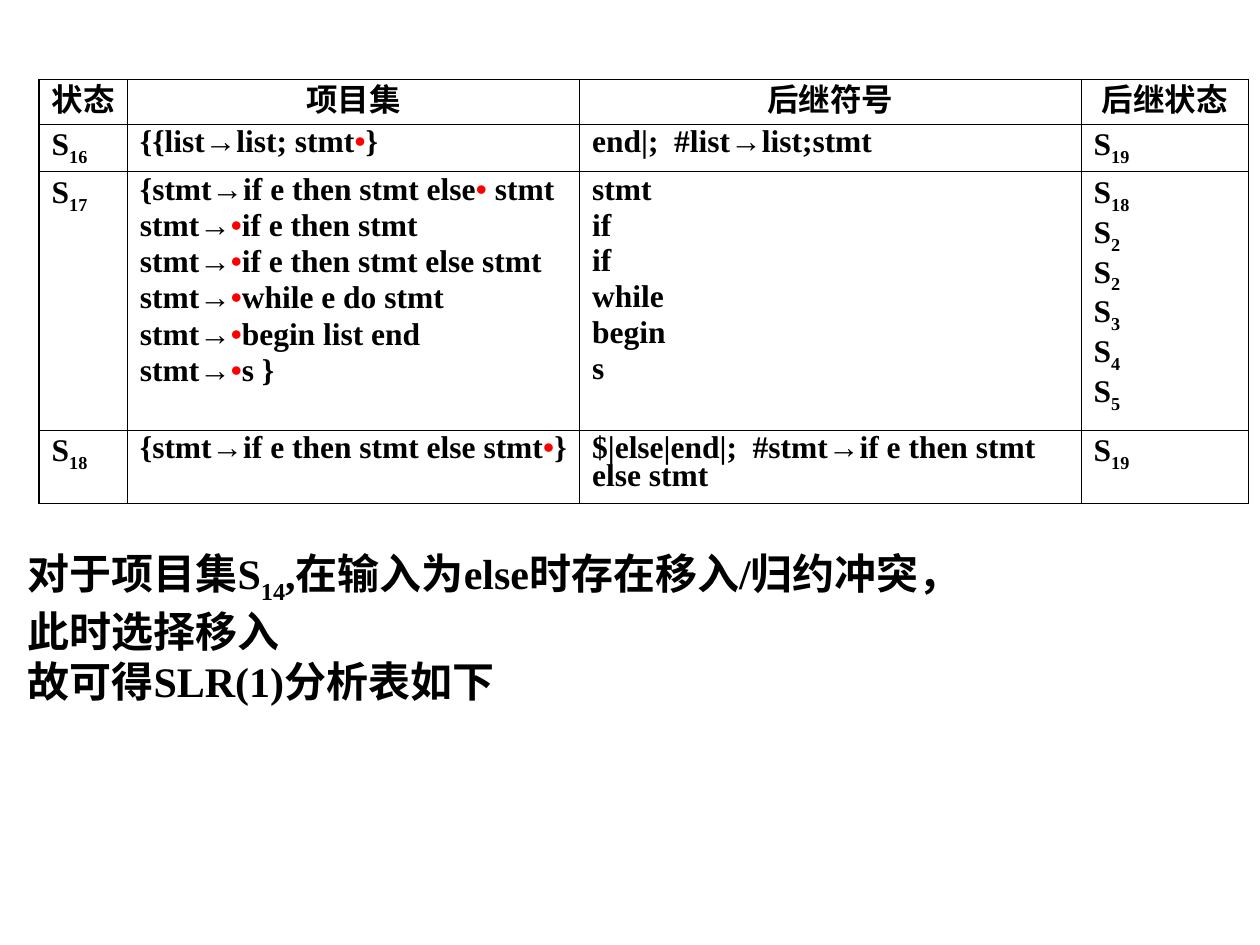
import itertools

import lxml.etree
import pptx
import pptx.dml.color
import pptx.enum.text
import pptx.oxml.ns
import pptx.util

Pt, Inches = pptx.util.Pt, pptx.util.Inches
BLACK = pptx.dml.color.RGBColor(0, 0, 0)
RED = pptx.dml.color.RGBColor(255, 0, 0)
SERIF, SANS, HAN = "Times New Roman", "Arial", "Noto Sans CJK SC"
SUBS = "₀₁₂₃₄₅₆₇₈₉"
DIGITS = str.maketrans(SUBS, "0123456789")
THIN, THICK = Pt(0.45), Pt(1.08)

COLS = [0.7, 3.59, 3.98, 1.33]
ROWS = [0.31, 0.38, 2.05, 0.58]
# Subscript digits become lowered runs, arrows and dots get their own style.
STATES = [
    [["状态"], ["项目集"], ["后继符号"], ["后继状态"]],
    [["S₁₆"], ["{{list→list; stmt•}"], ["end|;  #list→list;stmt"], ["S₁₉"]],
    [
        ["S₁₇"],
        [
            "{stmt→if e then stmt else• stmt",
            "stmt→•if e then stmt",
            "stmt→•if e then stmt else stmt",
            "stmt→•while e do stmt",
            "stmt→•begin list end",
            "stmt→•s }",
        ],
        ["stmt", "if", "if", "while", "begin", "s"],
        ["S₁₈", "S₂", "S₂", "S₃", "S₄", "S₅"],
    ],
    [
        ["S₁₈"],
        ["{stmt→if e then stmt else stmt•}"],
        ["$|else|end|;  #stmt→if e then stmt else stmt"],
        ["S₁₉"],
    ],
]
NOTES = [
    "对于项目集S₁₄,在输入为else时存在移入/归约冲突，",
    "此时选择移入",
    "故可得SLR(1)分析表如下",
]


def kind(char):
    return "sub" if char in SUBS else char if char in "→•" else "text"


def write(frame, lines, size, face=SERIF):
    """Fill the frame with one paragraph per line, styling runs by kind."""
    for n, line in enumerate(lines):
        para = frame.add_paragraph() if n else frame.paragraphs[0]
        for sort, chars in itertools.groupby(line, kind):
            run = para.add_run()
            run.text = "".join(chars).translate(DIGITS)
            font = run.font
            font.size, font.bold = Pt(size), True
            font.name = SANS if sort == "→" else face
            font.color.rgb = RED if sort == "•" else BLACK
            props = run._r.get_or_add_rPr()
            east = lxml.etree.SubElement(props, pptx.oxml.ns.qn("a:ea"))
            east.set("typeface", SANS if sort == "→" else HAN)
            if sort == "sub":
                props.set("baseline", "-25000")


def border(cell, widths):
    """Draw the left, right, top and bottom lines of a cell."""
    props = cell._tc.get_or_add_tcPr()
    for n, (side, width) in enumerate(zip("LRTB", widths)):
        line = lxml.etree.Element(pptx.oxml.ns.qn("a:ln" + side), w=str(int(width)))
        fill = lxml.etree.SubElement(line, pptx.oxml.ns.qn("a:solidFill"))
        lxml.etree.SubElement(fill, pptx.oxml.ns.qn("a:srgbClr"), val=str(BLACK))
        props.insert(n, line)


def add_states(slide, left, top, width, height):
    shape = slide.shapes.add_table(len(ROWS), len(COLS), left, top, width, height)
    table = shape.table
    table.first_row = table.horz_banding = False
    for col, share in zip(table.columns, COLS):
        col.width = int(width * share / sum(COLS))
    for row, share in zip(table.rows, ROWS):
        row.height = int(height * share / sum(ROWS))
    last = len(COLS) - 1
    for r, c in itertools.product(range(len(ROWS)), range(len(COLS))):
        cell, head = table.cell(r, c), r == 0
        cell.fill.background()
        write(cell.text_frame, STATES[r][c], 18, HAN if head else SERIF)
        for n, para in enumerate(cell.text_frame.paragraphs):
            para.line_spacing = 0.7 if head else 0.8
            if n:
                para.space_before = Pt(4.5)
            if head:
                para.alignment = pptx.enum.text.PP_ALIGN.CENTER
        border(cell, [
            THICK if c == 0 else THIN,
            THICK if c == last else THIN,
            THICK if head else THIN,
            THIN,
        ])


def add_notes(slide, left, top, width, height):
    frame = slide.shapes.add_textbox(left, top, width, height).text_frame
    frame.word_wrap = False
    frame.auto_size = pptx.enum.text.MSO_AUTO_SIZE.SHAPE_TO_FIT_TEXT
    write(frame, NOTES, 24)


def main():
    deck = pptx.Presentation()
    deck.slide_width, deck.slide_height = Inches(10), Inches(7.5)
    slide = deck.slides.add_slide(deck.slide_layouts[6])
    add_states(slide, Inches(0.31), Inches(0.63), Inches(sum(COLS)), Inches(sum(ROWS)))
    add_notes(slide, Inches(0.12), Inches(4.3), Inches(8.08), Inches(1.36))
    deck.save("out.pptx")


if __name__ == "__main__":
    main()
